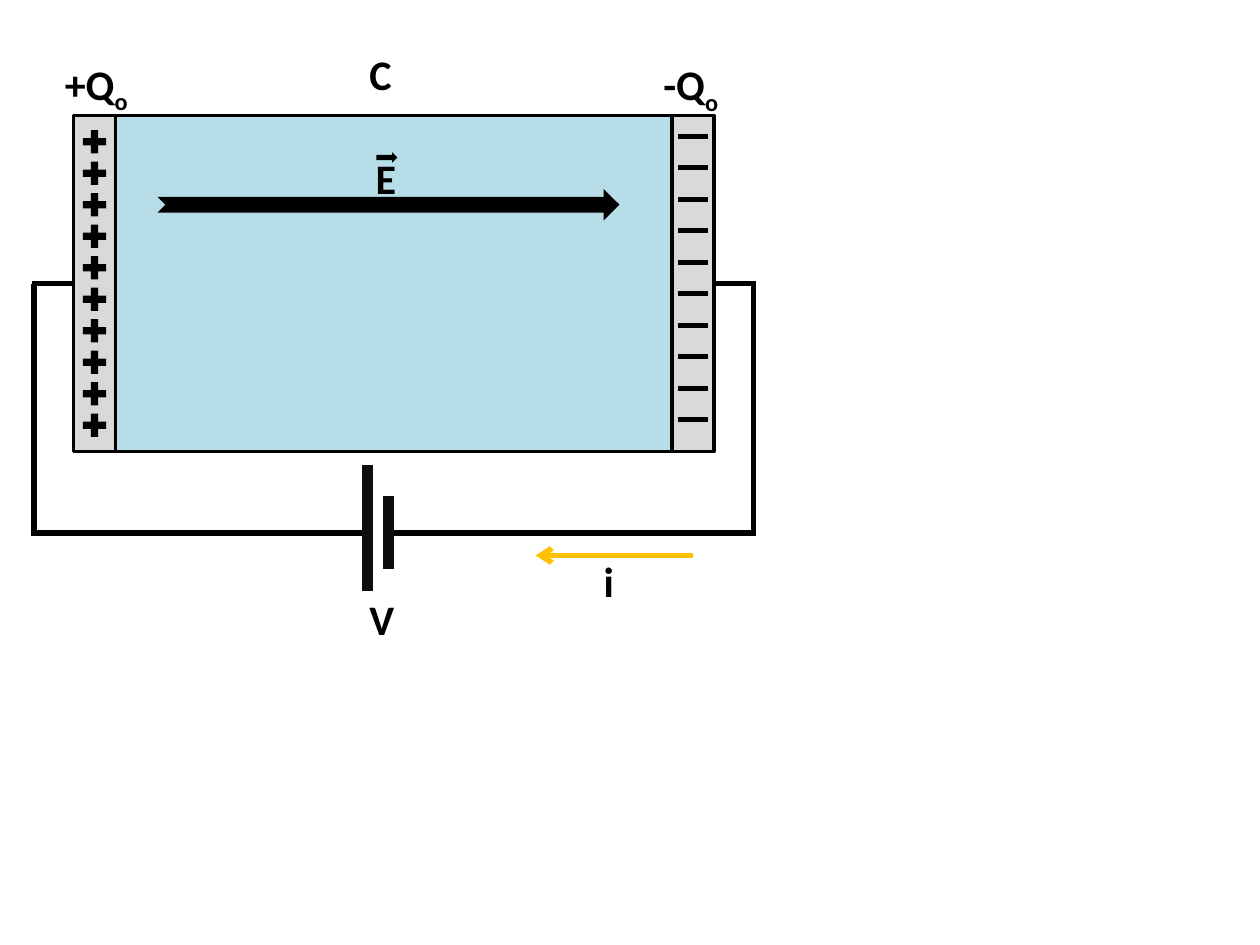
import pptx
import pptx.dml.color
import pptx.enum.shapes
import pptx.enum.text
import pptx.oxml.ns
import pptx.util
from lxml import etree

SHAPE = pptx.enum.shapes.MSO_SHAPE
BLACK, BATTERY, ORANGE = "000000", "0D0D0D", "FFC000"
PLATE, DIELECTRIC = "D9D9D9", "B7DEE8"
CHARGES = 10  # signs on each plate


def cell(n):
    """Length of n grid cells, twelve cells to the inch."""
    return pptx.util.Inches(n / 12)


def rgb(color):
    return pptx.dml.color.RGBColor.from_string(color)


def add_block(parent, kind, x, y, w, h, fill, line=None):
    sp = parent.shapes.add_shape(kind, cell(x), cell(y), cell(w), cell(h))
    sp.shadow.inherit = False
    sp.fill.solid()
    sp.fill.fore_color.rgb = rgb(fill)
    if line:
        sp.line.color.rgb = rgb(line)
        sp.line.width = pptx.util.Pt(2)
    else:
        sp.line.fill.background()
    return sp


def add_line(parent, x1, y1, x2, y2, color=BLACK, width=3, arrow=False):
    cx = parent.shapes.add_connector(
        pptx.enum.shapes.MSO_CONNECTOR.STRAIGHT,
        cell(x1), cell(y1), cell(x2), cell(y2))
    cx.line.color.rgb = rgb(color)
    cx.line.width = pptx.util.Pt(width)
    if arrow:
        ln = cx.line._get_or_add_ln()
        etree.SubElement(ln, pptx.oxml.ns.qn("a:tailEnd"), type="arrow")
    etree.SubElement(cx._element.spPr, pptx.oxml.ns.qn("a:effectLst"))
    return cx


def add_label(parent, x, y, w, text, subscript=None):
    sp = parent.shapes.add_textbox(cell(x), cell(y), cell(w), cell(6))
    tf = sp.text_frame
    tf.word_wrap = False
    tf.auto_size = pptx.enum.text.MSO_AUTO_SIZE.SHAPE_TO_FIT_TEXT
    p = tf.paragraphs[0]
    for part in filter(None, (text, subscript)):
        r = p.add_run()
        r.text = part
        r.font.name = "Calibri"
        r.font.size = pptx.util.Pt(24)
        r.font.bold = True
        r.font.color.rgb = rgb(BLACK)
        if part == subscript:
            r.font._element.set("baseline", "-25000")
    return sp


def add_plate(s, x, sign, sign_x, sign_w, sign_h):
    """Capacitor plate with an evenly spaced column of charge signs."""
    add_block(s, SHAPE.RECTANGLE, x, 11, 4, 32, PLATE, BLACK)
    group = s.shapes.add_group_shape()
    for i in range(CHARGES):
        add_block(group, sign, sign_x, 12 + 3 * i, sign_w, sign_h, BLACK)


def add_circuit(s):
    group = s.shapes.add_group_shape()
    left, right, top, bottom = 3.25, 71.75, 27, 50.75
    # Wires from the plates to the battery
    add_line(group, 68, top, right + 0.25, top)
    add_line(group, left - 0.25, top, 7, top)
    for x in (left, right):
        add_line(group, x, top, x, bottom + 0.25)
    add_line(group, left - 0.25, bottom, 35, bottom)
    add_line(group, 37, bottom, right + 0.25, bottom)
    # Battery: long and short pole
    add_line(group, 35, 44.25, 35, 56.25, BATTERY, 6)
    add_line(group, 37, 47.2, 37, 54.2, BATTERY, 6)


def main():
    prs = pptx.Presentation()
    prs.slide_width = pptx.util.Inches(10)
    prs.slide_height = pptx.util.Inches(7.5)
    s = prs.slides.add_slide(prs.slide_layouts[6])

    # Dielectric and electric field
    add_block(s, SHAPE.RECTANGLE, 11, 11, 53, 32, DIELECTRIC, BLACK)
    add_block(s, SHAPE.NOTCHED_RIGHT_ARROW, 15, 18, 44, 3, BLACK)
    field = s.shapes.add_group_shape()
    add_label(field, 34.6, 13.9, 4.4, "E")
    add_block(field, SHAPE.RIGHT_ARROW, 35.85, 14.5, 2, 1, BLACK)

    # Charged plates
    add_plate(s, 7, SHAPE.MATH_PLUS, 7.5, 3, 3)
    add_plate(s, 64, SHAPE.MATH_MINUS, 64, 4, 2)

    # Circuit and current
    add_circuit(s)
    add_label(s, 34, 55.9, 4.8, "V")
    add_line(s, 66, 52.9, 51, 52.9, ORANGE, arrow=True)
    add_label(s, 56.3, 52.3, 3.4, "i")

    # Charge and capacitance labels
    add_label(s, 5, 4.95, 8.6, "+Q", "o")
    add_label(s, 62, 5, 7.9, "-Q", "o")
    add_label(s, 34, 4, 4.6, "C")

    prs.save("out.pptx")


if __name__ == "__main__":
    main()
